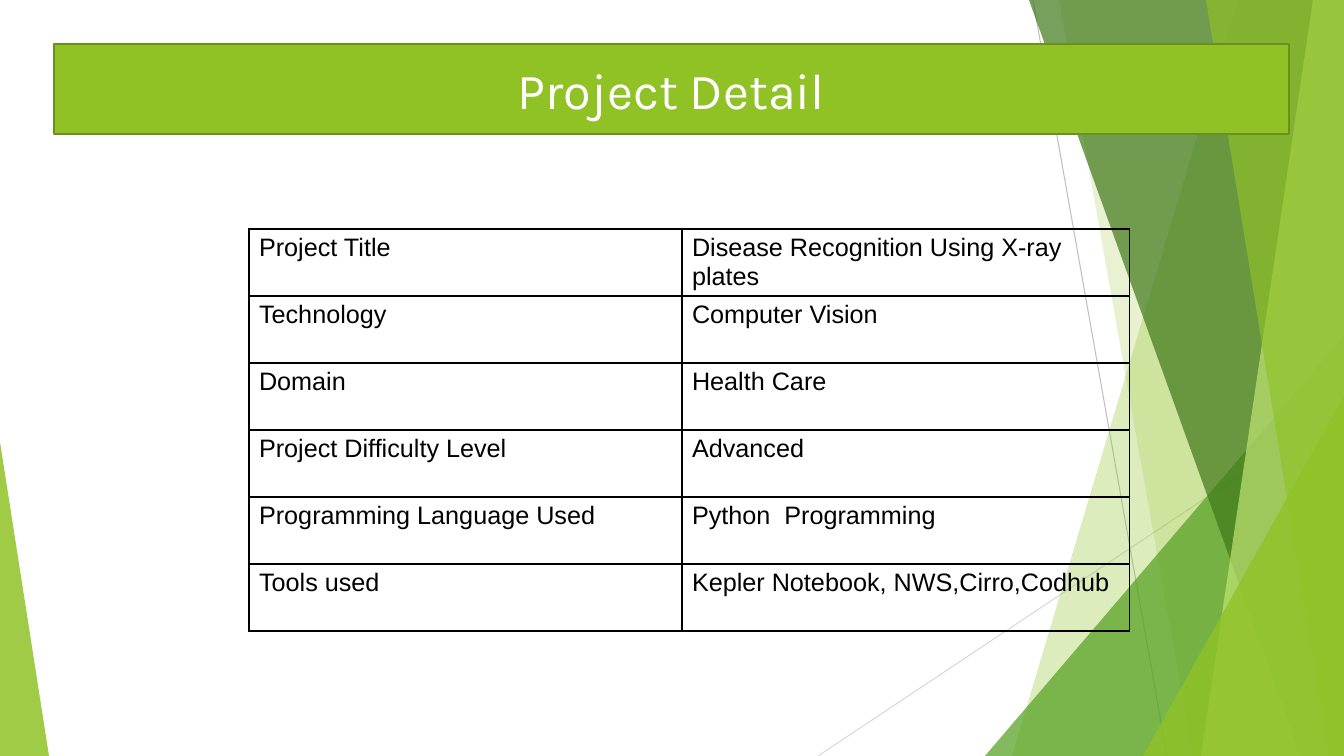
from lxml import etree
from pptx import Presentation
from pptx.dml.color import RGBColor
from pptx.enum.shapes import MSO_CONNECTOR, MSO_SHAPE
from pptx.enum.text import MSO_ANCHOR, PP_ALIGN
from pptx.oxml.ns import qn
from pptx.util import Pt

TRIANGLE = MSO_SHAPE.ISOSCELES_TRIANGLE
STRAIGHT = MSO_CONNECTOR.STRAIGHT
MIDDLE = MSO_ANCHOR.MIDDLE
CENTER = PP_ALIGN.CENTER

WIDTH, HEIGHT = 1344, 756
SCALE = 12192000 / WIDTH

COLORS = {
    "lime": "90C226", "green": "54A021", "forest": "3F7819", "pale": "C0E474",
    "olive": "6B901C", "white": "FFFFFF", "black": "000000",
    "gray": "BFBFBF", "light gray": "D9D9D9",
}

TITLE = "Project Detail"
TITLE_BOX = (54, 44, 1235, 90)
DETAILS = [
    ("Project Title", "Disease Recognition Using X-ray plates"),
    ("Technology", "Computer Vision"),
    ("Domain", "Health Care"),
    ("Project Difficulty Level", "Advanced"),
    ("Programming Language Used", "Python  Programming"),
    ("Tools used", "Kepler Notebook, NWS,Cirro,Codhub"),
]
TABLE_LEFT, TABLE_TOP = 249, 229
COLUMN_WIDTHS = (433, 448)
ROW_HEIGHT = 67

# start x, start y, end x, end y, color
RAYS = [
    (1033, 0, 1167, HEIGHT, "gray"),
    (WIDTH, 406, 818, HEIGHT, "light gray"),
]
# Bands: top left x, bottom left x; each reaches the right edge of the slide.
# Triangles: left, top, width, apex position; each stands on the bottom edge.
FACETS = [
    ("band", (1238, 1012), "lime", 30),
    ("band", (1059, 1193), "lime", 20),
    ("triangle", (985, 336, 359, 1), "green", 72),
    ("band", (1029, 1301), "forest", 70),
    ("band", (1313, 1201), "pale", 70),
    ("band", (1206, 1329), "lime", 65),
    ("triangle", (1143, 396, 201, 1), "lime", 80),
    ("triangle", (0, 442, 49, 0), "lime", 85),
]


def px(length):
    return round(length * SCALE)


def color(name):
    return RGBColor.from_string(COLORS[name])


def fill_shape(shape, name, opacity=100):
    shape.fill.solid()
    shape.fill.fore_color.rgb = color(name)
    if opacity < 100:
        tint = shape.fill._xPr.find(qn("a:solidFill"))[0]
        etree.SubElement(tint, qn("a:alpha"), val=str(opacity * 1000))


def add_ray(shapes, start_x, start_y, end_x, end_y, name):
    ray = shapes.add_connector(STRAIGHT, px(start_x), px(start_y), px(end_x), px(end_y))
    ray.line.color.rgb = color(name)
    ray.line.width = Pt(0.75)
    etree.SubElement(ray.element.spPr, qn("a:effectLst"))


def add_facet(shapes, kind, geometry, name, opacity):
    if kind == "band":
        top_x, bottom_x = geometry
        builder = shapes.build_freeform(top_x, 0, scale=SCALE)
        builder.add_line_segments([(WIDTH, 0), (WIDTH, HEIGHT), (bottom_x, HEIGHT)])
        facet = builder.convert_to_shape()
    else:
        left, top, width, apex = geometry
        facet = shapes.add_shape(TRIANGLE, px(left), px(top), px(width), px(HEIGHT - top))
        facet.adjustments[0] = apex
    facet.shadow.inherit = False
    facet.line.fill.background()
    fill_shape(facet, name, opacity)


def format_title(title):
    """Turn the title placeholder into a rounded banner in front of the facets."""
    title.left, title.top, title.width, title.height = map(px, TITLE_BOX)
    geometry = etree.SubElement(title.element.spPr, qn("a:prstGeom"), prst="roundRect")
    etree.SubElement(geometry, qn("a:avLst"))
    fill_shape(title, "lime")
    title.line.color.rgb = color("olive")
    title.line.width = Pt(1.5)
    title.text_frame.text = TITLE
    title.text_frame.vertical_anchor = MIDDLE
    paragraph = title.text_frame.paragraphs[0]
    paragraph.alignment = CENTER
    set_font(paragraph, "Karla", 36, "white")
    title.element.getparent().append(title.element)


def set_font(paragraph, family, size, name):
    paragraph.font.name = family
    paragraph.font.size = Pt(size)
    paragraph.font.color.rgb = color(name)


def add_borders(cell):
    properties = cell._tc.get_or_add_tcPr()
    for position, side in enumerate(("lnL", "lnR", "lnT", "lnB")):
        border = etree.Element(qn("a:" + side), w=str(Pt(1)))
        solid = etree.SubElement(border, qn("a:solidFill"))
        etree.SubElement(solid, qn("a:srgbClr"), val=COLORS["black"])
        properties.insert(position, border)


def add_details(shapes):
    table = shapes.add_table(
        len(DETAILS), len(COLUMN_WIDTHS), px(TABLE_LEFT), px(TABLE_TOP),
        px(sum(COLUMN_WIDTHS)), px(ROW_HEIGHT * len(DETAILS)),
    ).table
    table.first_row = table.horz_banding = False
    for column, width in zip(table.columns, COLUMN_WIDTHS):
        column.width = px(width)
    for row, texts in zip(table.rows, DETAILS):
        row.height = px(ROW_HEIGHT)
        for cell, text in zip(row.cells, texts):
            cell.text = text
            set_font(cell.text_frame.paragraphs[0], "Arial", 18, "black")
            cell.fill.background()
            add_borders(cell)


def main():
    presentation = Presentation()
    presentation.slide_width, presentation.slide_height = px(WIDTH), px(HEIGHT)
    slide = presentation.slides.add_slide(presentation.slide_layouts[5])
    for ray in RAYS:
        add_ray(slide.shapes, *ray)
    for facet in FACETS:
        add_facet(slide.shapes, *facet)
    format_title(slide.shapes.title)
    add_details(slide.shapes)
    presentation.save("out.pptx")


if __name__ == "__main__":
    main()
